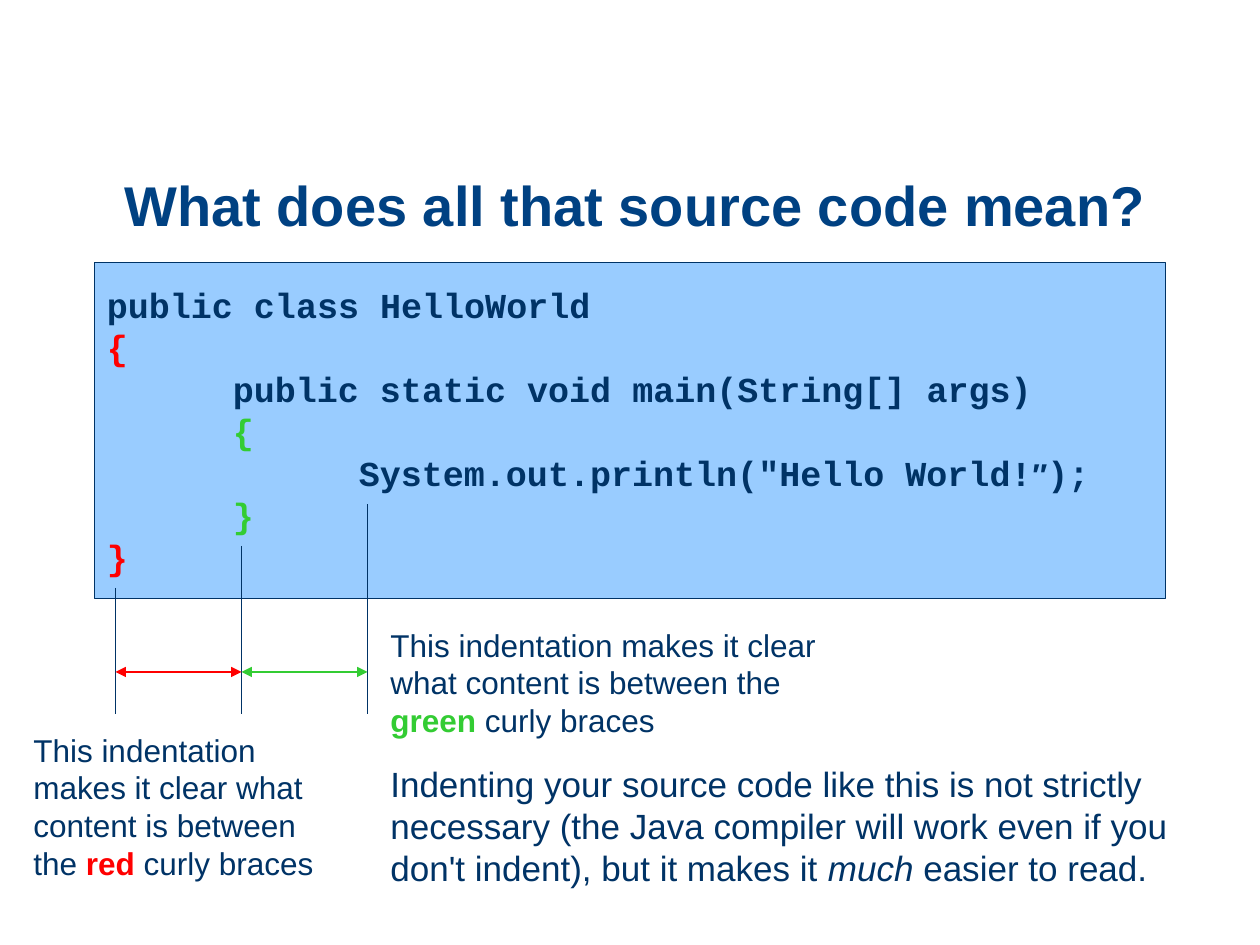
from lxml import etree
from pptx import Presentation
from pptx.dml.color import RGBColor
from pptx.enum.shapes import MSO_CONNECTOR as Connector, MSO_SHAPE as Shape
from pptx.enum.text import MSO_ANCHOR as Anchor, PP_ALIGN as Align
from pptx.oxml.ns import qn
from pptx.util import Pt

COLORS = {
    "title": "004182",
    "ink": "003366",
    "panel": "99CCFF",
    "red": "FF0000",
    "green": "33CC33",
}
INDENT = 72  # one tab stop of the code, in points


def rgb(name):
    return RGBColor.from_string(COLORS[name])


def set_font(font, size, color="ink", name="Arial", bold=False):
    font.name, font.size, font.bold = name, Pt(size), bold
    font.color.rgb = rgb(color)


def add_text_frame(slide, box, anchor=Anchor.TOP):
    frame = slide.shapes.add_textbox(*map(Pt, box)).text_frame
    frame.word_wrap = True
    frame.vertical_anchor = anchor
    return frame


def add_title(slide, box, text):
    title = add_text_frame(slide, box, Anchor.BOTTOM).paragraphs[0]
    title.text = text
    title.line_spacing = 0.9
    set_font(title.font, 32, "title", bold=True)


def add_tab_stops(paragraph, count):
    stops = etree.SubElement(paragraph._p.get_or_add_pPr(), qn("a:tabLst"))
    for level in range(1, count + 1):
        etree.SubElement(stops, qn("a:tab"), pos=str(Pt(level * INDENT)), algn="l")


def add_code(slide, box, lines):
    """Each line is a list of (text, color) pieces."""
    panel = slide.shapes.add_shape(Shape.RECTANGLE, *map(Pt, box))
    panel.shadow.inherit = False
    panel.fill.solid()
    panel.fill.fore_color.rgb = rgb("panel")
    panel.line.color.rgb = rgb("ink")
    panel.line.width = Pt(0.75)
    frame = panel.text_frame
    frame.word_wrap = True
    frame.vertical_anchor = Anchor.MIDDLE
    for number, pieces in enumerate(lines):
        line = frame.add_paragraph() if number else frame.paragraphs[0]
        line.alignment = Align.LEFT
        add_tab_stops(line, 2)
        set_font(line.font, 20, name="Courier New", bold=True)
        for text, color in pieces:
            piece = line.add_run()
            piece.text = text
            piece.font.color.rgb = rgb(color)
            if text == "″":  # the closing quote is set in the text face
                piece.font.name, piece.font.size = "Arial", Pt(18)


def add_line(slide, start, end, color, arrows=False):
    line = slide.shapes.add_connector(
        Connector.STRAIGHT, *map(Pt, (*start, *end)))
    line.line.color.rgb = rgb(color)
    line.line.width = Pt(0.75)
    properties = line._element.spPr
    if arrows:
        for end_tag in ("a:headEnd", "a:tailEnd"):
            etree.SubElement(properties.find(qn("a:ln")), qn(end_tag), type="triangle")
    etree.SubElement(properties, qn("a:effectLst"))


def add_indent_guides(slide, box, levels):
    """Vertical guides one indent apart, with an arrow across each gap."""
    left, top, width, height = box
    bottom = top + height
    indent = width / len(levels)
    code_line = 24
    for level in range(len(levels) + 1):
        x = left + level * indent
        guide_top = top + (len(levels) - level) * code_line
        add_line(slide, (x, guide_top), (x, bottom), "ink")
    for level, color in enumerate(levels):
        x, y = left + level * indent, bottom - 24
        add_line(slide, (x, y), (x + indent, y), color, arrows=True)


def add_note(slide, box, size, before, stressed, after, color="ink", italic=False):
    note = add_text_frame(slide, box).paragraphs[0]
    set_font(note.font, size)
    note.add_run().text = before
    stress = note.add_run()
    stress.text = stressed
    stress.font.color.rgb = rgb(color)
    stress.font.italic, stress.font.bold = italic, not italic
    note.add_run().text = after


def main():
    deck = Presentation()
    deck.slide_width, deck.slide_height = Pt(720), Pt(540)
    slide = deck.slides.add_slide(deck.slide_layouts[6])

    add_title(slide, (64, 82, 616, 58), "What does all that source code mean?")

    # Code panel with coloured braces
    add_code(slide, (54, 150, 612, 192), [
        [("public class HelloWorld", "ink")],
        [("{", "red")],
        [("\tpublic static void main(String[] args)", "ink")],
        [("\t{", "green")],
        [("\t\tSystem.out.println(″Hello World!", "ink"), ("″", "ink"), (");", "ink")],
        [("\t}", "green")],
        [("}", "red")],
    ])
    add_indent_guides(slide, (66, 288, 2 * INDENT, 120), ("red", "green"))

    # Notes on each indentation
    for color, box in (("red", (12, 414, 186, 94)), ("green", (216, 354, 276, 72))):
        add_note(slide, box, 18,
                 "This indentation makes it clear what content is between the ",
                 color, " curly braces", color)

    # Closing remark
    add_note(slide, (216, 432, 468, 79), 20,
             "Indenting your source code like this is not strictly necessary "
             "(the Java compiler will work even if you don't indent), "
             "but it makes it ",
             "much", " easier to read.", italic=True)

    deck.save("out.pptx")


if __name__ == "__main__":
    main()
